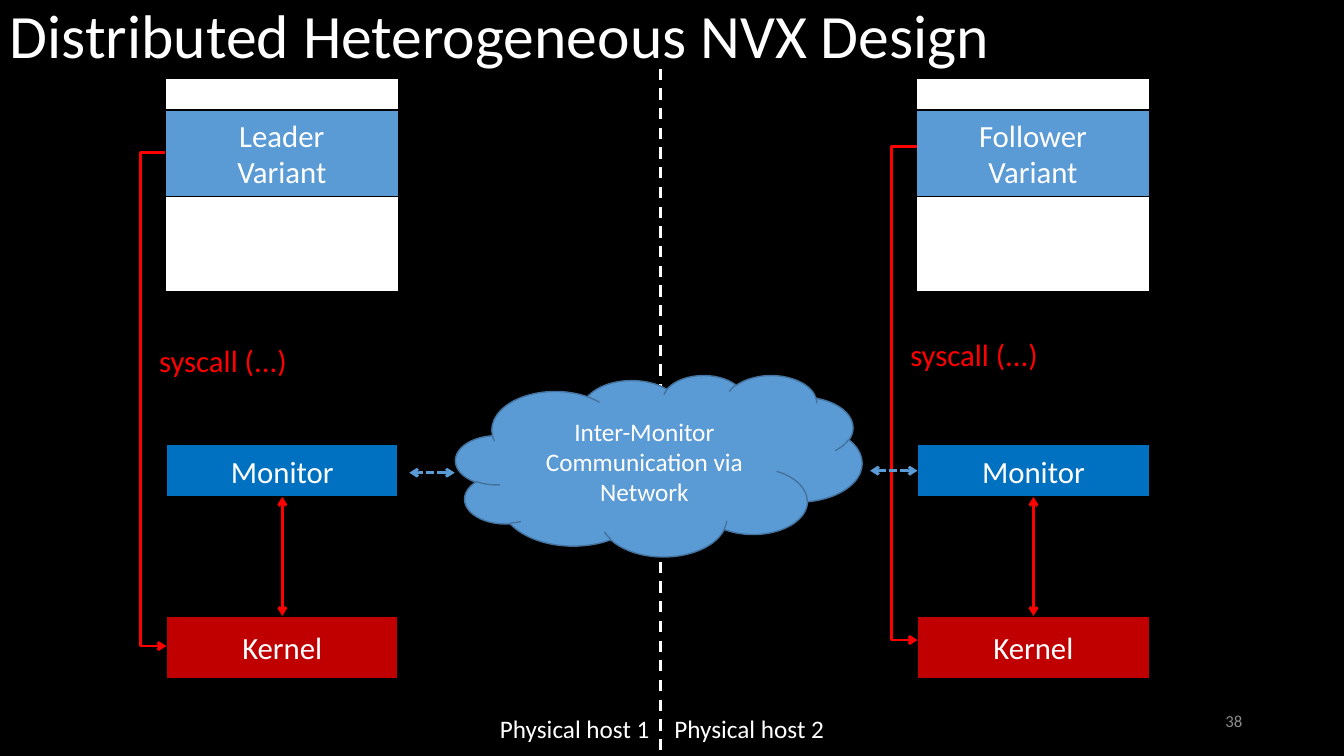
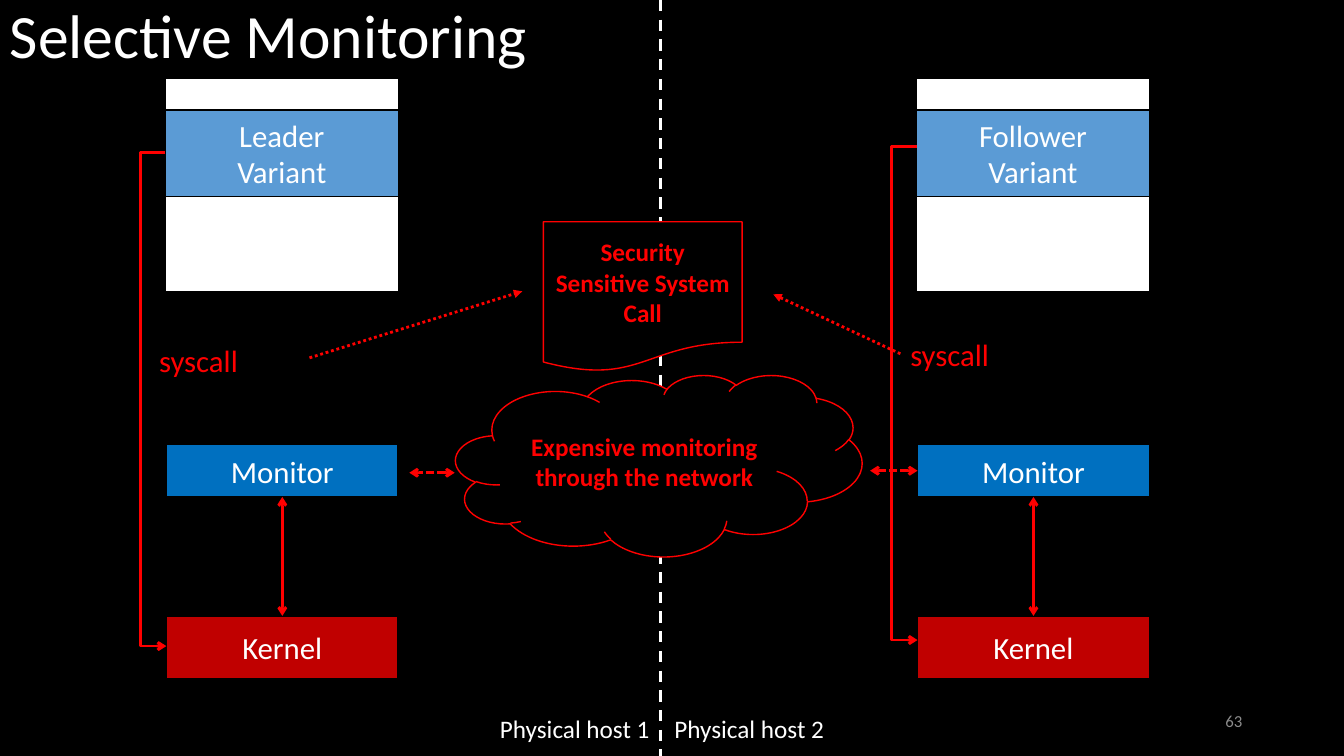
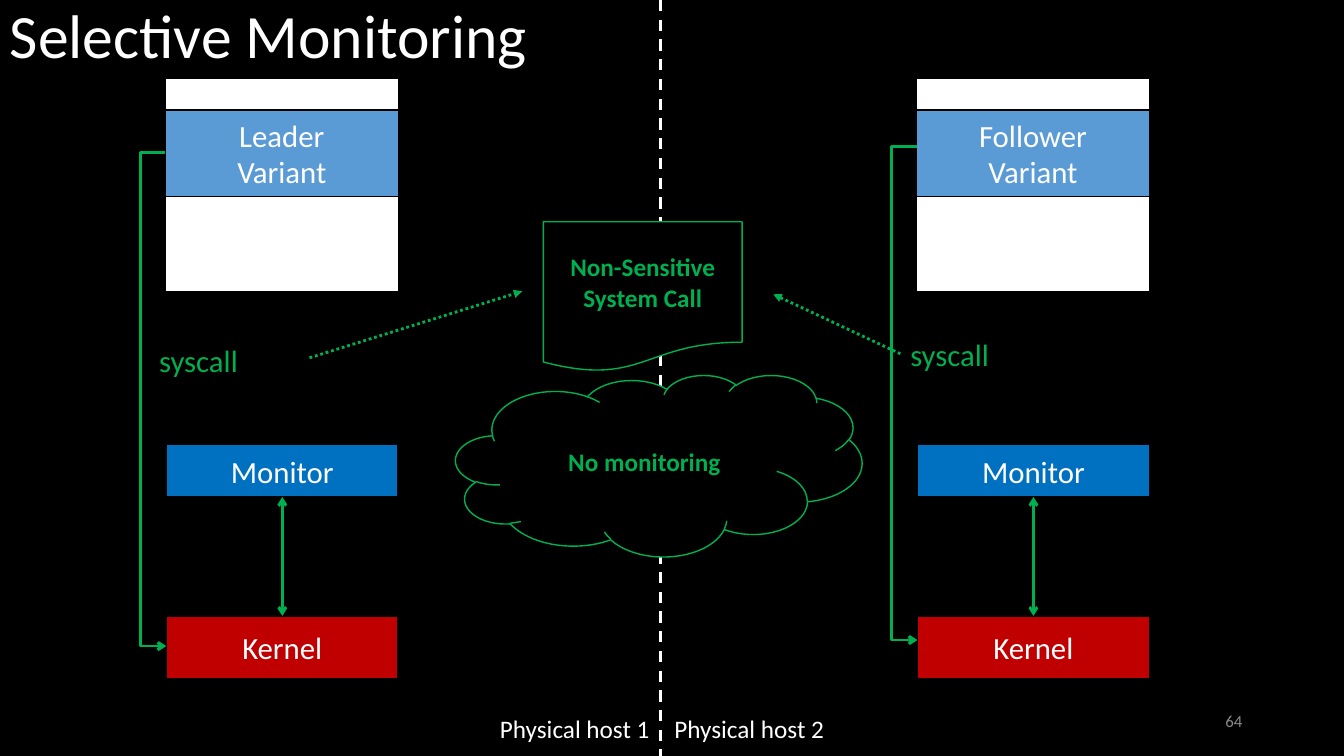
import dataclasses

import pptx
import pptx.dml.color
import pptx.enum.dml
import pptx.enum.shapes
import pptx.enum.text
import pptx.oxml
import pptx.util

RGB = pptx.dml.color.RGBColor
SHAPE = pptx.enum.shapes.MSO_SHAPE
WIRE = pptx.enum.shapes.MSO_CONNECTOR
DASH = pptx.enum.dml.MSO_LINE
ALIGN = pptx.enum.text.PP_ALIGN
ANCHOR = pptx.enum.text.MSO_ANCHOR

BLACK = RGB(0x00, 0x00, 0x00)
WHITE = RGB(0xFF, 0xFF, 0xFF)
GREY = RGB(0x8C, 0x8C, 0x8C)
SKY = RGB(0x5B, 0x9B, 0xD5)
SKY_EDGE = RGB(0x43, 0x73, 0x9E)
BLUE = RGB(0x00, 0x70, 0xC0)
DARK_RED = RGB(0xC0, 0x00, 0x00)
RED = RGB(0xFF, 0x00, 0x00)
GREEN = RGB(0x00, 0xB0, 0x50)

FONT = "Calibri"
PX = 9144  # EMU in one px, 100 px to the inch
SLIDE_W, SLIDE_H = 1333, 750
DIVIDER_X = 655
HOST_TOP = 78


@dataclasses.dataclass
class Design:
    title: str
    number: str
    syscall: str
    syscall_width: int
    accent: RGB
    cloud: str
    cloud_fill: RGB = BLACK
    cloud_edge: RGB = None  # the accent unless given
    cloud_text: RGB = None
    link: RGB = None  # no network links unless given
    document: str = ""
    divider_top: int = 0


DESIGNS = [
    Design("Distributed Heterogeneous NVX Design", "38", "syscall (...)", 148, RED,
           "Inter-Monitor Communication via Network", SKY, SKY_EDGE, WHITE,
           link=SKY, divider_top=68),
    Design("Selective Monitoring", "63", "syscall", 99, RED,
           "Expensive monitoring through the network",
           link=RED, document="Security Sensitive System Call"),
    Design("Selective Monitoring", "64", "syscall", 99, GREEN, "No monitoring",
           document="Non-Sensitive System Call"),
]


def px(*lengths):
    return [pptx.util.Emu(length * PX) for length in lengths]


def write(frame, text, size, color, align=ALIGN.LEFT, anchor=ANCHOR.TOP,
          bold=False, wrap=True, spacing=None):
    frame.text = text
    frame.word_wrap = wrap
    frame.vertical_anchor = anchor
    for paragraph in frame.paragraphs:
        paragraph.alignment = align
        paragraph.line_spacing = spacing
        for run in paragraph.runs:
            run.font.name = FONT
            run.font.size = pptx.util.Pt(size)
            run.font.bold = bold
            run.font.color.rgb = color


def label(slide, box, text, size, color, **style):
    write(slide.shapes.add_textbox(*px(*box)).text_frame, text, size, color, **style)


def block(slide, kind, box, fill, edge, text="", size=22, color=WHITE, bold=False):
    shape = slide.shapes.add_shape(kind, *px(*box))
    shape.shadow.inherit = False
    shape.fill.solid()
    shape.fill.fore_color.rgb = fill
    shape.line.color.rgb = edge
    shape.line.width = pptx.util.Pt(1)
    if text:
        write(shape.text_frame, text, size, color, ALIGN.CENTER, ANCHOR.MIDDLE, bold)
    return shape


def wire(slide, start, end, color, dash=None, head=None, tail=None, kind=WIRE.STRAIGHT):
    line = slide.shapes.add_connector(kind, *px(*start, *end))
    line.line.color.rgb = color
    line.line.width = pptx.util.Pt(2)
    if dash is not None:
        line.line.dash_style = dash
    outline = line.line._get_or_add_ln()
    for tag, arrow in (("headEnd", head), ("tailEnd", tail)):
        if arrow:
            add_xml(outline, tag, type=arrow)
    add_xml(line.element.spPr, "effectLst")
    return line


def add_xml(parent, tag, **attributes):
    child = parent.makeelement(pptx.oxml.ns.qn("a:" + tag), attributes)
    parent.append(child)
    return child


def frame_slide(slide, design):
    """Background, divider, title, host names and slide number."""
    slide.background.fill.solid()
    slide.background.fill.fore_color.rgb = BLACK
    wire(slide, (DIVIDER_X, design.divider_top), (DIVIDER_X, SLIDE_H), WHITE, DASH.DASH)
    label(slide, (0, 0, 1205, 145), design.title, 44, WHITE, spacing=0.9)
    for left, name in ((486, "Physical host 1"), (659, "Physical host 2")):
        label(slide, (left, 703, 172, 40), name, 18, WHITE)
    label(slide, (942, 695, 300, 40), design.number, 12, GREY,
          align=ALIGN.RIGHT, anchor=ANCHOR.MIDDLE)


def host(slide, left, top, variant, design, call_shift=0):
    """One host: variant in memory, monitor, kernel and the system call path."""
    width = 231
    block(slide, SHAPE.RECTANGLE, (left, top, width, 211), WHITE, BLACK)
    block(slide, SHAPE.RECTANGLE, (left, top + 31, width, 86), SKY, BLACK,
          variant + "\nVariant")
    monitor = block(slide, SHAPE.RECTANGLE, (left + 1, top + 363, width - 1, 52),
                    BLUE, BLACK, "Monitor")
    kernel = block(slide, SHAPE.RECTANGLE, (left + 1, top + 533, width - 1, 62),
                   DARK_RED, BLACK, "Kernel")

    # System call, routed 25 px left of the host
    call_top = top + 73 + call_shift
    call = wire(slide, (left, call_top), (left + 1, call_top + 490), design.accent,
                tail="arrow", kind=WIRE.ELBOW)
    adjustments = call.element.spPr.prstGeom.get_or_add_avLst()
    add_xml(adjustments, "gd", name="adj1", fmla="val -2500000")
    label(slide, (left - 16, call_top + 183, design.syscall_width, 47),
          design.syscall, 22, design.accent, wrap=False)

    # Monitor and kernel exchange
    middle = left + 116
    exchange = wire(slide, (middle, top + 533), (middle, top + 415), design.accent,
                    head="arrow", tail="arrow")
    exchange.begin_connect(kernel, 0)
    exchange.end_connect(monitor, 2)
    return monitor


def network(slide, left, top, design, follower_monitor):
    """Cloud between the hosts, with its links to both monitors."""
    accent = design.accent
    block(slide, SHAPE.CLOUD, (left, top, 403, 180), design.cloud_fill,
          design.cloud_edge or accent, design.cloud, 18,
          design.cloud_text or accent, bold=design.cloud_text is None)
    if design.link is not None:
        ends = dict(dash=DASH.SQUARE_DOT, head="arrow", tail="arrow")
        wire(slide, (left - 1, top + 97), (left - 46, top + 97), design.link, **ends)
        link = wire(slide, (left + 457, top + 95), (left + 411, top + 95),
                    design.link, **ends)
        link.begin_connect(follower_monitor, 1)


def call_document(slide, left, top, design):
    """Kind of system call, with pointers from both hosts."""
    block(slide, SHAPE.FLOWCHART_DOCUMENT, (left, top, 197, 149), BLACK,
          design.accent, design.document, 18, design.accent, bold=True)
    for start, end in (((-232, 135), (-21, 69)), ((354, 131), (228, 72))):
        wire(slide, (left + start[0], top + start[1]), (left + end[0], top + end[1]),
             design.accent, DASH.ROUND_DOT, tail="triangle")


def main():
    deck = pptx.Presentation()
    deck.slide_width, deck.slide_height = px(SLIDE_W, SLIDE_H)
    for design in DESIGNS:
        slide = deck.slides.add_slide(deck.slide_layouts[6])
        frame_slide(slide, design)
        host(slide, 164, HOST_TOP, "Leader", design)
        follower_monitor = host(slide, 909, HOST_TOP, "Follower", design, call_shift=-6)
        network(slide, 452, 372, design, follower_monitor)
        if design.document:
            call_document(slide, 539, 220, design)
    deck.save("out.pptx")


if __name__ == "__main__":
    main()
